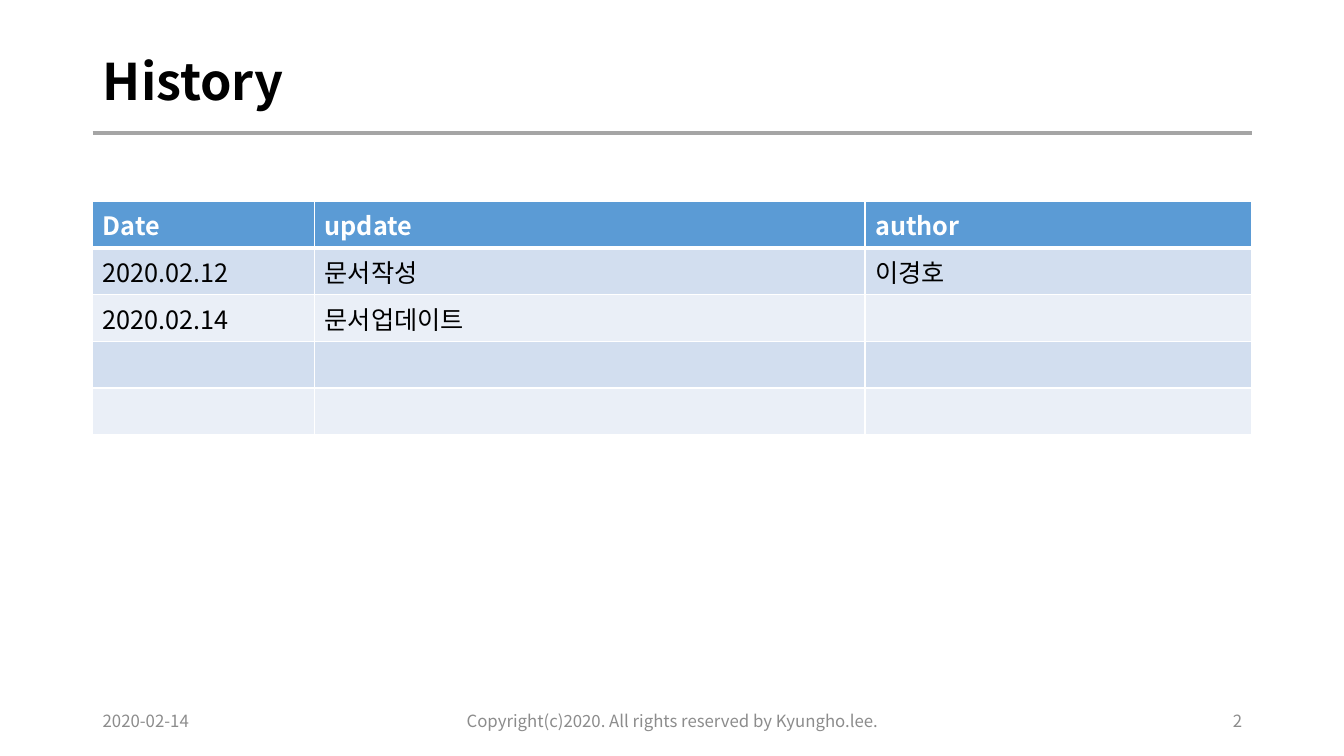
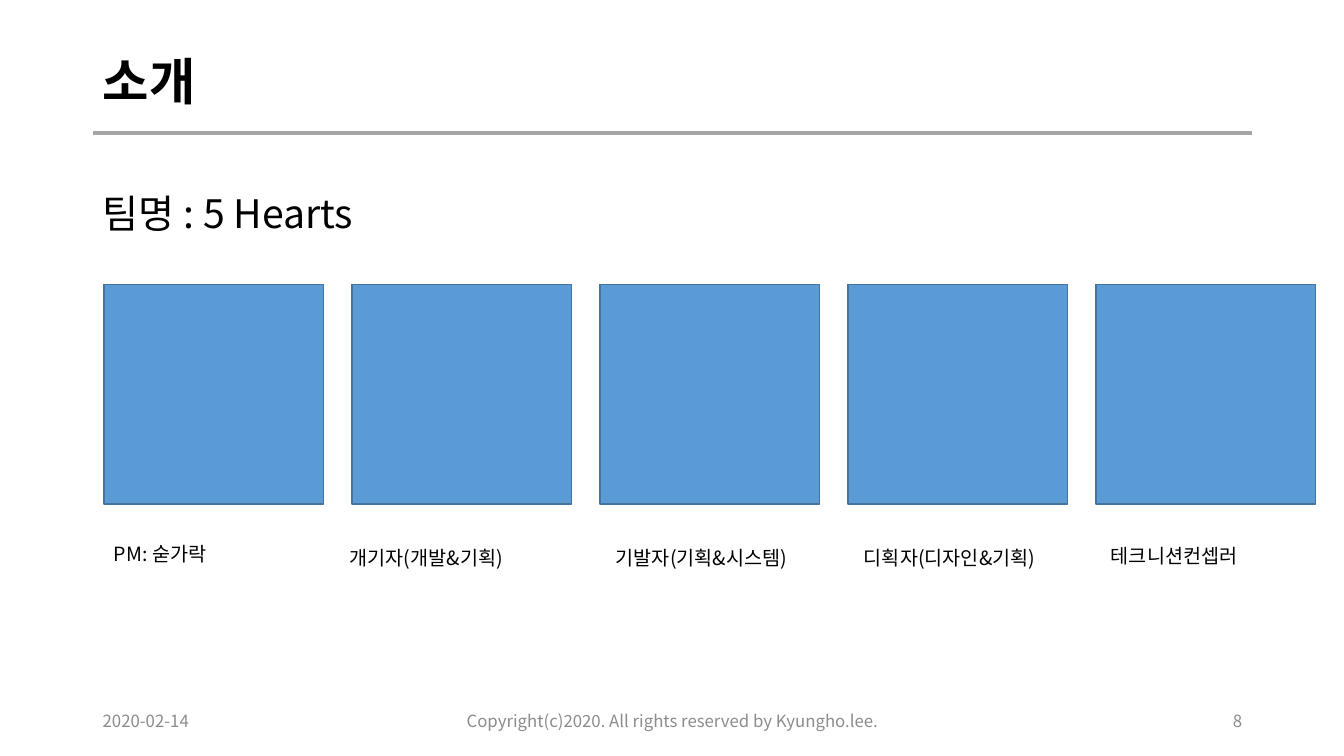
from lxml import etree
from pptx import Presentation
from pptx.dml.color import RGBColor
from pptx.enum import shapes, text
from pptx.oxml import ns
from pptx.util import Inches, Pt

BLACK = RGBColor(0x00, 0x00, 0x00)
WHITE = RGBColor(0xFF, 0xFF, 0xFF)
GRAY = RGBColor(0x8C, 0x8C, 0x8C)
RULE_GRAY = RGBColor(0xA5, 0xA5, 0xA5)
BLUE = RGBColor(0x5B, 0x9B, 0xD5)
DARK_BLUE = RGBColor(0x43, 0x73, 0x9E)
BAND_DARK = RGBColor(0xD2, 0xDE, 0xEF)
BAND_LIGHT = RGBColor(0xEA, 0xEF, 0xF7)

FONT = "Noto Sans CJK KR"
LEFT, WIDTH = 0.92, 11.5
RIGHT = LEFT + WIDTH
TITLE_ONLY = 5
ALIGN = text.PP_ALIGN


def add_typefaces(properties):
    """Name the font for both Latin and Korean letters."""
    for tag in ("a:latin", "a:ea"):
        etree.SubElement(properties, ns.qn(tag), typeface=FONT)


def format_text(frame, size, color=BLACK, bold=False, align=ALIGN.LEFT):
    para = frame.paragraphs[0]
    para.alignment = align
    for span in para.runs:
        span.font.size = Pt(size)
        span.font.bold = bold
        span.font.color.rgb = color
        add_typefaces(span.font._element)
    if not para.runs:
        # An empty cell takes its line height from the end mark.
        add_typefaces(etree.SubElement(
            para._p, ns.qn("a:endParaRPr"), sz=str(size * 100)))


def add_cell_border(cell, side, points):
    border = etree.SubElement(cell._tc.get_or_add_tcPr(),
                              ns.qn(f"a:ln{side}"), w=str(Pt(points)))
    fill = etree.SubElement(border, ns.qn("a:solidFill"))
    etree.SubElement(fill, ns.qn("a:srgbClr"), val=str(WHITE))


class Deck:
    def __init__(self):
        self.deck = Presentation()
        self.deck.slide_width = Inches(13.33)
        self.deck.slide_height = Inches(7.5)
        self.slide = None

    def add_page(self, title, number):
        layout = self.deck.slide_layouts[TITLE_ONLY]
        self.slide = self.deck.slides.add_slide(layout)
        self.set_title(title)
        self.add_rule(1.32)
        self.add_footer(number)

    def set_title(self, words):
        box = self.slide.shapes.title
        box.left, box.top = Inches(LEFT), Inches(0.4)
        box.width, box.height = Inches(WIDTH), Inches(0.87)
        frame = box.text_frame
        frame.text = words
        frame.auto_size = text.MSO_AUTO_SIZE.NONE
        frame.vertical_anchor = text.MSO_ANCHOR.MIDDLE
        frame.paragraphs[0].line_spacing = 0.9
        format_text(frame, 36, bold=True)

    def add_rule(self, top):
        rule = self.slide.shapes.add_connector(
            shapes.MSO_CONNECTOR.STRAIGHT,
            Inches(LEFT), Inches(top), Inches(RIGHT), Inches(top))
        rule.line.color.rgb = RULE_GRAY
        rule.line.width = Pt(2.25)
        etree.SubElement(rule._element.spPr, ns.qn("a:effectLst"))

    def add_footer(self, number):
        for words, left, width, align in (
            ("2020-02-14", LEFT, 3, ALIGN.LEFT),
            ("Copyright(c)2020. All rights reserved by Kyungho.lee.",
             4.42, 4.5, ALIGN.CENTER),
            (str(number), RIGHT - 3, 3, ALIGN.RIGHT),
        ):
            frame = self.add_text(words, left, 6.95, width, 0.4, 12,
                                  GRAY, align)
            frame.vertical_anchor = text.MSO_ANCHOR.MIDDLE
            frame.auto_size = text.MSO_AUTO_SIZE.NONE

    def add_text(self, words, left, top, width, height, size,
                 color=BLACK, align=ALIGN.LEFT):
        box = self.slide.shapes.add_textbox(
            Inches(left), Inches(top), Inches(width), Inches(height))
        frame = box.text_frame
        frame.word_wrap = True
        frame.auto_size = text.MSO_AUTO_SIZE.SHAPE_TO_FIT_TEXT
        frame.text = words
        format_text(frame, size, color, align=align)
        return frame

    def add_square(self, left, top, side):
        square = self.slide.shapes.add_shape(
            shapes.MSO_SHAPE.RECTANGLE,
            Inches(left), Inches(top), Inches(side), Inches(side))
        square.shadow.inherit = False
        square.fill.solid()
        square.fill.fore_color.rgb = BLUE
        square.line.color.rgb = DARK_BLUE
        square.line.width = Pt(1)

    def add_table(self, rows, top, column_widths, row_height):
        table = self.slide.shapes.add_table(
            len(rows), len(column_widths), Inches(LEFT), Inches(top),
            Inches(WIDTH), Inches(row_height * len(rows))).table
        for column, width in zip(table.columns, column_widths):
            column.width = Inches(width)
        for index, row in enumerate(rows):
            table.rows[index].height = Inches(row_height)
            for cell, words in zip(table.rows[index].cells, row):
                self.fill_cell(cell, words, index)

    def fill_cell(self, cell, words, row_index):
        header = row_index == 0
        for side in "LRTB":
            below_header = (side == "B" and header
                            or side == "T" and row_index == 1)
            add_cell_border(cell, side, 3 if below_header else 1)
        band = BAND_DARK if row_index % 2 else BAND_LIGHT
        cell.fill.solid()
        cell.fill.fore_color.rgb = BLUE if header else band
        if words:
            cell.text_frame.text = words
        format_text(cell.text_frame, 18, WHITE if header else BLACK, header)


def add_history(deck):
    deck.add_page("History", 2)
    rows = [
        ("Date", "update", "author"),
        ("2020.02.12", "문서작성", "이경호"),
        ("2020.02.14", "문서업데이트", ""),
        ("", "", ""),
        ("", "", ""),
    ]
    deck.add_table(rows, 2, (2.2, 5.46, 3.83), 0.41)


def add_team(deck):
    deck.add_page("소개", 8)
    deck.add_text("팀명 : 5 Hearts", LEFT, 1.83, WIDTH, 0.57, 28)
    members = [
        ("PM: 숟가락", 1.03, 5.33, 1.68),
        ("개기자(개발&기획)", 3.37, 5.37, 2.3),
        ("기발자(기획&시스템)", 6.01, 5.37, 2.13),
        ("디획자(디자인&기획)", 8.47, 5.37, 2.13),
        ("테크니션컨셉러", 10.92, 5.35, 2.18),
    ]
    side, gap = 2.18, 0.28
    for index, (role, left, top, width) in enumerate(members):
        deck.add_square(1.03 + index * (side + gap), 2.82, side)
        deck.add_text(role, left, top, width, 0.34, 14)


def main():
    deck = Deck()
    add_history(deck)
    add_team(deck)
    deck.deck.save("out.pptx")


if __name__ == "__main__":
    main()
